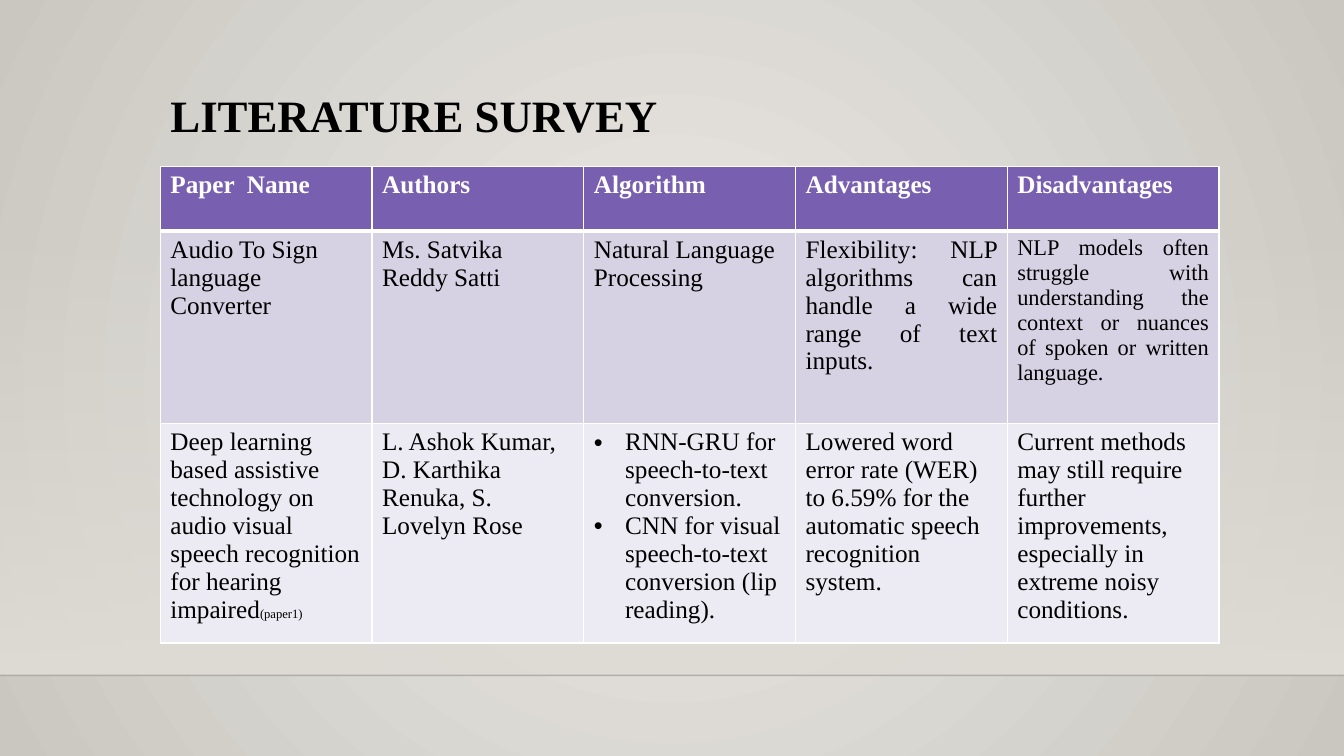
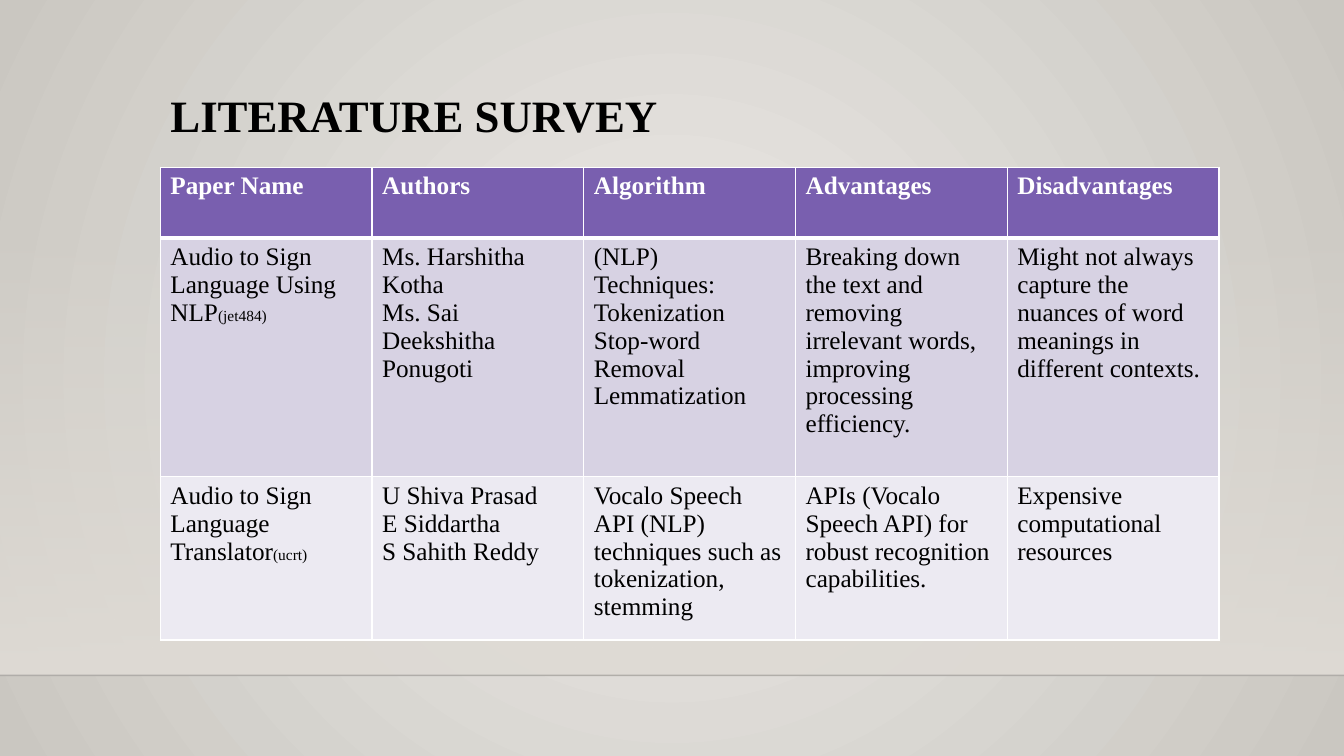
from dataclasses import dataclass

from lxml.etree import SubElement
from pptx import Presentation
from pptx.dml.color import RGBColor
from pptx.enum.shapes import MSO_CONNECTOR, MSO_SHAPE
from pptx.enum.text import MSO_ANCHOR, PP_ALIGN
from pptx.oxml import parse_xml
from pptx.oxml.ns import nsdecls, qn
from pptx.util import Inches, Pt


@dataclass(frozen=True)
class Theme:
    font: str = "Times New Roman"
    text: str = "000000"
    header_text: str = "FFFFFF"
    header_fill: str = "795FAF"
    row_fills: tuple = ("D7D2E3", "ECEAF2")
    border: str = "FFFFFF"
    glow_center: str = "ECEAE7"
    glow_edge: str = "CAC7C1"
    wall: str = "DFDBD5"
    floor_line: str = "000001"
    title_size: int = 32
    body_size: int = 18


@dataclass(frozen=True)
class Entry:
    """Text of one table cell; note is a small remark after the last line."""
    lines: tuple
    note: str = ""
    note_size: int = 11
    size: int = Theme.body_size
    align: PP_ALIGN = PP_ALIGN.LEFT
    bulleted: bool = False


THEME = Theme()
SLIDE_WIDTH, FLOOR_TOP = 13.33, 6.7
CONTENT_LEFT, CONTENT_WIDTH = 1.59, 10.5
TITLE = "LITERATURE SURVEY"
HEADERS = ("Authors", "Algorithm", "Advantages", "Disadvantages")


def entry(*lines, **options):
    return Entry(lines, **options)


# Each survey: first header, table top, row heights, rows
SURVEYS = (
    ("Paper  Name", 1.65, (0.64, 1.91, 2.18), (
        (entry("Audio To Sign language Converter"),
         entry("Ms. Satvika Reddy Satti"),
         entry("Natural Language Processing"),
         entry("Flexibility: NLP algorithms can handle a wide range of text inputs.",
               align=PP_ALIGN.JUSTIFY),
         entry("NLP models often struggle with understanding the context or nuances "
               "of spoken or written language.", size=16, align=PP_ALIGN.JUSTIFY)),
        (entry("Deep learning based assistive technology on audio visual speech "
               "recognition for hearing impaired", note="(paper1)", note_size=9),
         entry("L. Ashok Kumar, D. Karthika Renuka, S. Lovelyn Rose"),
         entry("RNN-GRU for speech-to-text conversion.",
               "CNN for visual speech-to-text conversion (lip reading).", bulleted=True),
         entry("Lowered word error rate (WER) to 6.59% for the automatic speech "
               "recognition system."),
         entry("Current methods may still require further improvements, especially "
               "in extreme noisy conditions.")),
    )),
    ("Paper Name", 1.66, (0.7, 2.37, 1.62), (
        (entry("Audio to Sign Language Using NLP", note="(jet484)"),
         entry("Ms. Harshitha Kotha", "Ms. Sai Deekshitha Ponugoti"),
         entry("(NLP) Techniques:", "Tokenization", "Stop-word Removal", "Lemmatization"),
         entry("Breaking down the text and removing irrelevant words, improving "
               "processing efficiency."),
         entry("Might not always capture the nuances of word meanings in different "
               "contexts.")),
        (entry("Audio to Sign Language Translator", note="(ucrt)"),
         entry("U Shiva Prasad", "E Siddartha", "S Sahith Reddy"),
         entry("Vocalo Speech API (NLP) techniques such as tokenization, stemming"),
         entry("APIs (Vocalo Speech API) for robust recognition capabilities."),
         entry("Expensive computational resources")),
    )),
)


def style_font(font, size, color, bold=False):
    font.name, font.size, font.bold = THEME.font, Pt(size), bold
    font.color.rgb = RGBColor.from_string(color)


def gradient(start, end, direction, start_alpha=100):
    """Gradient fill element between two colours."""
    return parse_xml(
        f'<a:gradFill {nsdecls("a")} rotWithShape="1"><a:gsLst>'
        f'<a:gs pos="0"><a:srgbClr val="{start}"><a:alpha val="{start_alpha * 1000}"/>'
        f'</a:srgbClr></a:gs><a:gs pos="100000"><a:srgbClr val="{end}"/></a:gs>'
        f'</a:gsLst>{direction}</a:gradFill>')


# Shared layout: background, wall, floor line, title place
def add_background(layout):
    background = parse_xml(
        f'<p:bg {nsdecls("p", "a")}><p:bgPr><a:effectLst/></p:bgPr></p:bg>')
    circle = ('<a:path path="circle"><a:fillToRect l="50000" t="50000" '
              'r="50000" b="50000"/></a:path>')
    background[0].insert(0, gradient(THEME.glow_center, THEME.glow_edge, circle))
    layout.element.cSld.insert(0, background)


def add_wall(slide):
    top = 2.21
    wall = slide.shapes.add_shape(MSO_SHAPE.RECTANGLE, 0, Inches(top),
                                  Inches(SLIDE_WIDTH), Inches(FLOOR_TOP - top))
    wall.shadow.inherit = False
    wall.line.fill.background()
    geometry = wall.element.spPr.find(qn("a:prstGeom"))
    geometry.addnext(gradient(THEME.wall, THEME.wall, '<a:lin ang="5400000"/>', 0))
    return wall


def add_floor_line(slide):
    line = slide.shapes.add_connector(MSO_CONNECTOR.STRAIGHT, 0, Inches(FLOOR_TOP),
                                      Inches(SLIDE_WIDTH), Inches(FLOOR_TOP))
    line.line.width = Pt(1)
    line.line.color.rgb = RGBColor.from_string(THEME.floor_line)
    properties = line.element.spPr
    SubElement(next(properties.iter(qn("a:srgbClr"))), qn("a:alpha"), val="20000")
    SubElement(properties, qn("a:effectLst"))
    return line


def prepare_layout(layout, slide):
    """Draw the backdrop on the slide, then move it behind the layout's title."""
    add_background(layout)
    for offset, shape in enumerate((add_wall(slide), add_floor_line(slide))):
        next(shape.element.iter(qn("p:cNvPr"))).set("id", str(100 + offset))
        layout.shapes.element.insert(2 + offset, shape.element)
    title = layout.placeholders[0]
    title.left, title.top = Inches(CONTENT_LEFT), Inches(0.88)
    title.width, title.height = Inches(CONTENT_WIDTH), Inches(1.15)


# Slide parts
def set_title(slide):
    frame = slide.shapes.title.text_frame
    frame.text = TITLE
    frame.vertical_anchor = MSO_ANCHOR.TOP
    paragraph = frame.paragraphs[0]
    paragraph.alignment = PP_ALIGN.LEFT
    paragraph.line_spacing = 0.9
    style_font(paragraph.font, THEME.title_size, THEME.text, bold=True)


def add_bullet(paragraph):
    properties = paragraph._p.get_or_add_pPr()
    indent = Inches(0.31)
    properties.set("marL", str(indent))
    properties.set("indent", str(-indent))
    SubElement(properties, qn("a:buFont"), typeface="Arial")
    SubElement(properties, qn("a:buChar"), char="•")


def set_borders(cell, bottom_width):
    widths = {"lnL": 1, "lnR": 1, "lnT": 1, "lnB": bottom_width}
    for side, width in widths.items():
        border = SubElement(cell._tc.get_or_add_tcPr(), qn(f"a:{side}"), w=str(Pt(width)))
        fill = SubElement(border, qn("a:solidFill"))
        SubElement(fill, qn("a:srgbClr"), val=THEME.border)


def fill_cell(cell, content, fill, color, is_header):
    set_borders(cell, 3 if is_header else 1)
    cell.fill.solid()
    cell.fill.fore_color.rgb = RGBColor.from_string(fill)
    frame = cell.text_frame
    frame.text = "\n".join(content.lines)
    for paragraph in frame.paragraphs:
        paragraph.alignment = content.align
        if content.bulleted:
            add_bullet(paragraph)
        style_font(paragraph.font, content.size, color, bold=is_header)
    if content.note:
        note = frame.paragraphs[-1].add_run()
        note.text = content.note
        note.font.size = Pt(content.note_size)


def add_survey_table(slide, first_header, top, heights, rows):
    headers = [entry(text) for text in (first_header, *HEADERS)]
    frame = slide.shapes.add_table(
        len(heights), len(headers), Inches(CONTENT_LEFT), Inches(top),
        Inches(CONTENT_WIDTH), Inches(sum(heights)))
    table = frame.table
    table.horz_banding = False
    for row, height in zip(table.rows, heights):
        row.height = Inches(height)
    fills = (THEME.header_fill, *THEME.row_fills)
    for row_index, (contents, fill) in enumerate(zip((headers, *rows), fills)):
        is_header = row_index == 0
        color = THEME.header_text if is_header else THEME.text
        for column_index, content in enumerate(contents):
            fill_cell(table.cell(row_index, column_index), content, fill, color, is_header)


def main():
    presentation = Presentation()
    presentation.slide_width = Inches(SLIDE_WIDTH)
    presentation.slide_height = Inches(7.5)
    layout = presentation.slide_layouts.get_by_name("Title Only")
    slides = [presentation.slides.add_slide(layout) for _ in SURVEYS]
    prepare_layout(layout, slides[0])
    for slide, survey in zip(slides, SURVEYS):
        set_title(slide)
        add_survey_table(slide, *survey)
    presentation.save("out.pptx")


if __name__ == "__main__":
    main()
